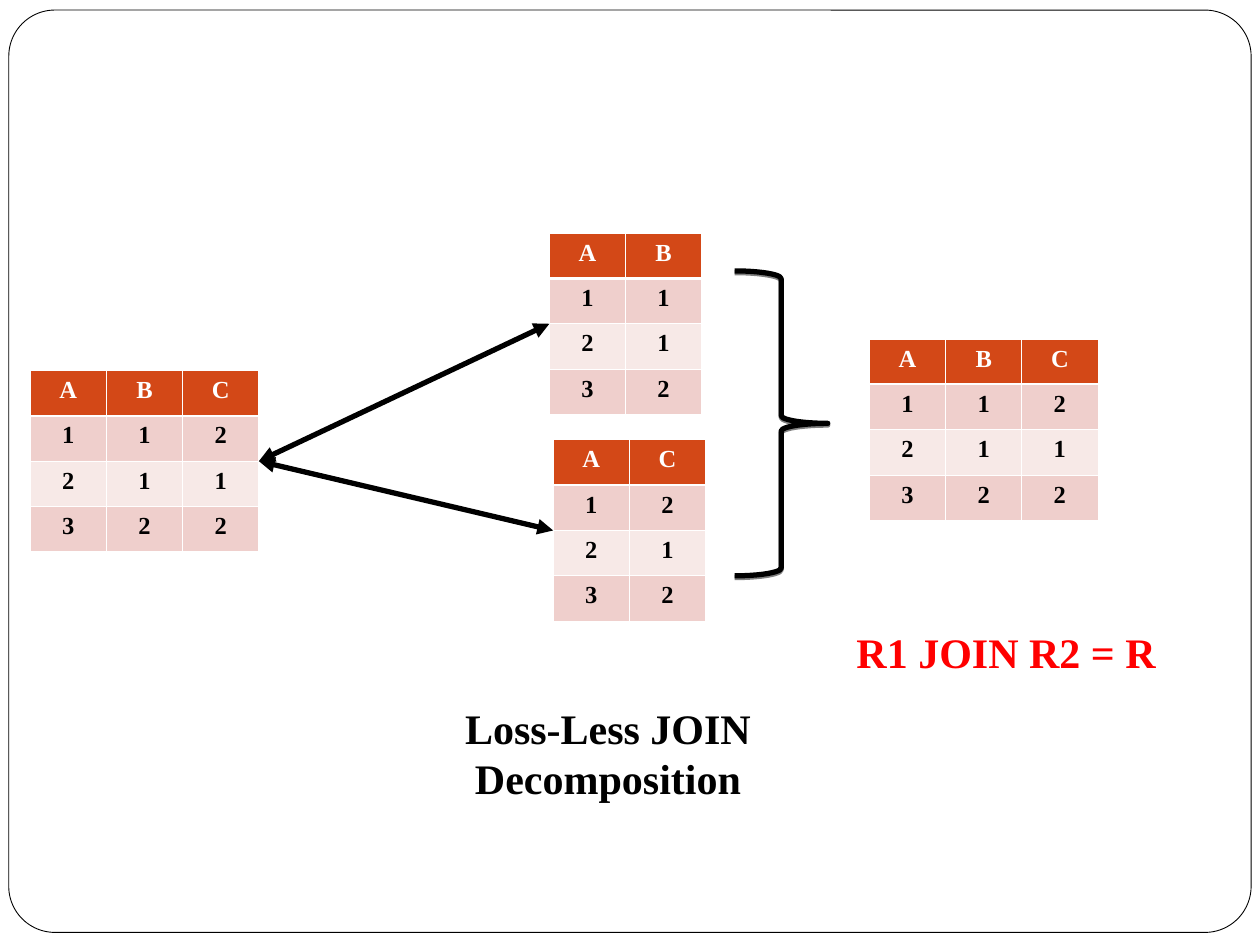
from dataclasses import dataclass

import pptx
import pptx.dml.color
import pptx.enum.shapes
import pptx.enum.text
import pptx.oxml
import pptx.oxml.ns
import pptx.util

Inches = pptx.util.Inches
Pt = pptx.util.Pt
Shape = pptx.enum.shapes.MSO_SHAPE
Anchor = pptx.enum.text.MSO_ANCHOR
NS = pptx.oxml.ns.nsdecls("a")
FONT = "Times New Roman"
COLORS = {
    "head": "D34817",
    "odd": "EFCFCC",
    "even": "F7E9E7",
    "white": "FFFFFF",
    "black": "000000",
    "red": "FF0000",
}
COL = 0.605
ROW = 0.36


@dataclass
class Grid:
    left: float
    top: float
    rows: list[str]
    pad: float

    @property
    def width(self) -> float:
        return COL * len(self.rows[0])

    @property
    def mid(self) -> float:
        return self.top + ROW * len(self.rows) / 2


@dataclass
class Label:
    text: str
    left: float
    top: float
    width: float
    color: str


def rgb(name: str):
    return pptx.dml.color.RGBColor.from_string(COLORS[name])


def write(frame, text: str, *, size: float, color: str, bold: bool = True) -> None:
    para = frame.paragraphs[0]
    para.alignment = pptx.enum.text.PP_ALIGN.CENTER
    run = para.add_run()
    run.text = text
    run.font.name = FONT
    run.font.size = Pt(size)
    run.font.bold = bold
    run.font.color.rgb = rgb(color)


def edge(cell, side: str, width: float) -> None:
    cell._tc.get_or_add_tcPr().append(pptx.oxml.parse_xml(
        f'<a:ln{side} {NS} w="{Pt(width)}"><a:solidFill>'
        f'<a:srgbClr val="{COLORS["white"]}"/></a:solidFill></a:ln{side}>'
    ))


def draw_grid(slide, grid: Grid) -> None:
    count = len(grid.rows)
    table = slide.shapes.add_table(
        count, len(grid.rows[0]), Inches(grid.left), Inches(grid.top),
        Inches(grid.width), Inches(ROW * count),
    ).table
    for col in table.columns:
        col.width = Inches(COL)
    for i, row in enumerate(grid.rows):
        table.rows[i].height = Inches(ROW)
        fill = "head" if i == 0 else "odd" if i % 2 else "even"
        for j, text in enumerate(row):
            cell = table.cell(i, j)
            cell.margin_left = cell.margin_right = Inches(grid.pad)
            for side in "LRTB":
                thick = (i, side) in ((0, "B"), (1, "T"))
                edge(cell, side, 1.47 if thick else 0.45)
            cell.fill.solid()
            cell.fill.fore_color.rgb = rgb(fill)
            write(cell.text_frame, text, size=14,
                  color="black" if i else "white")


def draw_arrow(slide, start: Grid, end: Grid) -> None:
    line = slide.shapes.add_connector(
        pptx.enum.shapes.MSO_CONNECTOR.STRAIGHT,
        Inches(start.left + start.width), Inches(start.mid),
        Inches(end.left), Inches(end.mid),
    )
    line.line.color.rgb = rgb("black")
    line.line.width = Pt(3)
    props = line._element.spPr
    for tag in ("headEnd", "tailEnd"):
        props.ln.append(pptx.oxml.parse_xml(f'<a:{tag} {NS} type="triangle"/>'))
    props.append(pptx.oxml.parse_xml(f"<a:effectLst {NS}/>"))


def draw_frame(slide) -> None:
    frame = slide.shapes.add_shape(
        Shape.ROUNDED_RECTANGLE,
        Inches(0.07), Inches(0.08), Inches(9.86), Inches(7.32),
    )
    frame.adjustments[0] = 0.05
    frame.shadow.inherit = False
    frame.fill.solid()
    frame.fill.fore_color.rgb = rgb("white")
    frame.line.color.rgb = rgb("black")
    frame.line.width = Pt(0.5)


def draw_brace(slide) -> None:
    brace = slide.shapes.add_shape(
        Shape.RIGHT_BRACE,
        Inches(5.83), Inches(2.15), Inches(0.74), Inches(2.42),
    )
    brace.fill.background()
    brace.line.color.rgb = rgb("black")
    brace.line.width = Pt(3)
    brace.shadow.inherit = False
    effects = brace._element.spPr.find(pptx.oxml.ns.qn("a:effectLst"))
    effects.append(pptx.oxml.parse_xml(
        f'<a:outerShdw {NS} blurRad="0" dist="{Pt(1)}" dir="5400000" '
        f'rotWithShape="0"><a:srgbClr val="{COLORS["black"]}">'
        '<a:alpha val="50000"/></a:srgbClr></a:outerShdw>'
    ))


def draw_label(slide, label: Label) -> None:
    frame = slide.shapes.add_textbox(
        Inches(label.left), Inches(label.top),
        Inches(label.width), Inches(0.67),
    ).text_frame
    frame.word_wrap = True
    frame.vertical_anchor = Anchor.MIDDLE
    write(frame, label.text, size=24, color=label.color)


def main() -> None:
    deck = pptx.Presentation()
    deck.slide_width = Inches(10)
    deck.slide_height = Inches(7.5)
    slide = deck.slides.add_slide(deck.slide_layouts[6])

    full = ["ABC", "112", "211", "322"]
    whole = Grid(0.24, 2.94, full, 0.07)
    upper = Grid(4.36, 1.85, ["AB", "11", "21", "32"], 0.08)
    lower = Grid(4.39, 3.49, ["AC", "12", "21", "32"], 0.08)
    joined = Grid(6.9, 2.69, full, 0.07)

    draw_frame(slide)
    for grid in (whole, upper, lower):
        draw_grid(slide, grid)
    for part in (upper, lower):
        draw_arrow(slide, whole, part)
    draw_brace(slide)
    draw_grid(slide, joined)
    for label in (
        Label("R1 JOIN R2 = R", 6.57, 4.84, 2.83, "red"),
        Label("Loss-Less JOIN Decomposition", 2.6, 5.64, 4.45, "black"),
    ):
        draw_label(slide, label)
    deck.save("out.pptx")


if __name__ == "__main__":
    main()
